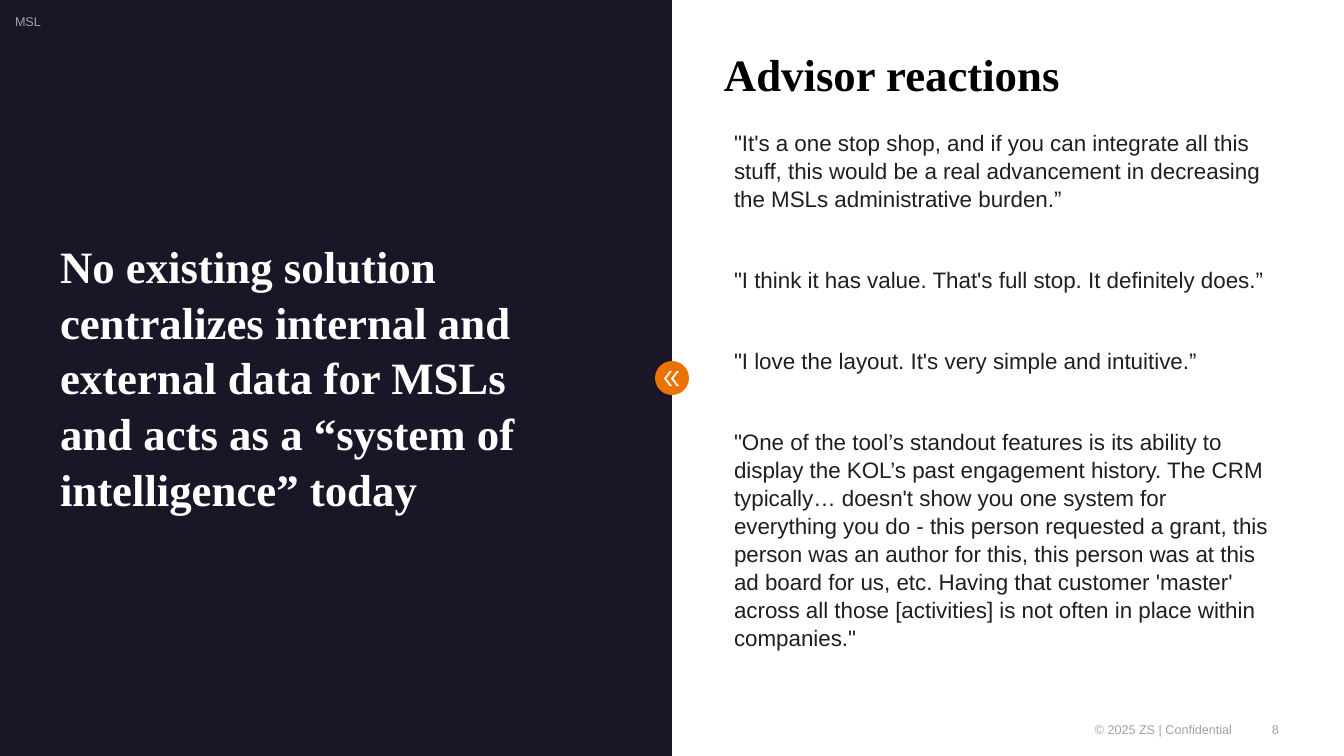
from pptx import Presentation
from pptx.dml.color import RGBColor
from pptx.enum.shapes import MSO_CONNECTOR, MSO_SHAPE
from pptx.enum.text import MSO_ANCHOR, MSO_AUTO_SIZE, PP_ALIGN
from pptx.oxml.ns import qn
from pptx.util import Emu, Pt

COLORS = {
    "navy": "1A1628",
    "white": "FFFFFF",
    "black": "000000",
    "ink": "1F1F1F",
    "gray": "A3A1A8",
    "orange": "EC7200",
}
SANS, SERIF = "Arial", "Times New Roman"
WIDTH, HEIGHT = 1344, 756
QUOTES = [
    "\"It's a one stop shop, and if you can integrate all this stuff, this would be "
    "a real advancement in decreasing the MSLs administrative burden.”",
    "\"I think it has value. That's full stop. It definitely does.”",
    "\"I love the layout. It's very simple and intuitive.”",
    "\"One of the tool’s standout features is its ability to display the KOL’s past "
    "engagement history. The CRM typically… doesn't show you one system for "
    "everything you do - this person requested a grant, this person was an author "
    "for this, this person was at this ad board for us, etc. Having that customer "
    "'master' across all those [activities] is not often in place within companies.\"",
]


def px(n):
    """Turn slide pixels into EMU."""
    return Emu(round(n * 914400 / 100.8))


def color(name):
    """Look up a palette colour."""
    return RGBColor.from_string(COLORS[name])


def place(sp, left, top, width, height):
    """Move and size a shape in pixels."""
    sp.left, sp.top, sp.width, sp.height = map(px, (left, top, width, height))


def write(sp, paragraphs, size, fill, font=SANS, bold=False, align=PP_ALIGN.LEFT,
          anchor=MSO_ANCHOR.MIDDLE, inset=(0, 0), wrap=True, spacing=1.0, gap=0):
    """Fill a shape with unbulleted, formatted paragraphs."""
    tf = sp.text_frame
    tf.auto_size = MSO_AUTO_SIZE.NONE
    tf.word_wrap = wrap
    tf.vertical_anchor = anchor
    tf.margin_left = tf.margin_right = px(inset[0])
    tf.margin_top = tf.margin_bottom = px(inset[1])
    for i, text in enumerate(paragraphs):
        p = tf.add_paragraph() if i else tf.paragraphs[0]
        pPr = p._p.get_or_add_pPr()
        pPr.set("marL", "0")
        pPr.set("indent", "0")
        pPr.append(pPr.makeelement(qn("a:buNone"), {}))
        p.alignment = align
        p.line_spacing = spacing
        p.space_before = Pt(gap if i else 0)
        p.space_after = Pt(0)
        r = p.add_run()
        r.text = text
        r.font.name, r.font.size, r.font.bold = font, Pt(size), bold
        r.font.color.rgb = color(fill)


def add_text(slide, box, text, **style):
    """Add a one-paragraph text box."""
    sp = slide.shapes.add_textbox(*map(px, box))
    write(sp, [text], **style)


def add_solid(shapes, kind, box, fill, rotation=0):
    """Add a filled preset shape without an outline."""
    sp = shapes.add_shape(kind, *map(px, box))
    sp.shadow.inherit = False
    sp.fill.solid()
    sp.fill.fore_color.rgb = color(fill)
    sp.line.fill.background()
    sp.rotation = rotation
    return sp


def add_panel(slide):
    """Add the dark left half and its edge behind everything else."""
    half = WIDTH // 2
    panel = add_solid(slide.shapes, MSO_SHAPE.RECTANGLE, (0, 0, half, HEIGHT), "navy")
    edge = slide.shapes.add_connector(
        MSO_CONNECTOR.STRAIGHT, px(half), 0, px(half), px(HEIGHT))
    edge.line.color.rgb = color("navy")
    edge.line.width = Pt(0.75)
    spPr = edge.element.spPr
    spPr.append(spPr.makeelement(qn("a:effectLst"), {}))
    tree = panel.element.getparent()
    for i, sp in enumerate((panel, edge)):
        tree.insert(2 + i, sp.element)


def add_badge(slide):
    """Add the orange disc with its two chevrons."""
    group = slide.shapes.add_group_shape()
    add_solid(group.shapes, MSO_SHAPE.OVAL, (655, 361, 34, 34), "orange")
    for left in (671, 664):
        sp = add_solid(group.shapes, MSO_SHAPE.CHEVRON, (left, 371, 8, 15), "white", 180)
        sp.adjustments[0] = 0.71


def main():
    """Build and save the slide."""
    prs = Presentation()
    prs.slide_width, prs.slide_height = px(WIDTH), px(HEIGHT)
    slide = prs.slides.add_slide(prs.slide_layouts[1])
    title, body = slide.placeholders
    heading = dict(size=32, font=SERIF, bold=True)
    small = dict(size=9, fill="gray", anchor=MSO_ANCHOR.BOTTOM, wrap=False)

    add_panel(slide)
    place(title, 60, 47, 518, 658)
    write(title, ["No existing solution centralizes internal and external data for MSLs "
                  "and acts as a “system of intelligence” today"],
          fill="white", spacing=1.04, **heading)
    place(body, 724, 123, 559, 526)
    write(body, QUOTES, 16, "ink", anchor=MSO_ANCHOR.TOP, inset=(10, 5),
          spacing=1.04, gap=38)
    add_text(slide, (724, 47, 576, 54), "Advisor reactions", fill="black", **heading)
    add_text(slide, (15, 14, 26, 15), "MSL", **small)
    add_text(slide, (1094, 722, 138, 15), "© 2025 ZS | Confidential",
             align=PP_ALIGN.RIGHT, **small)
    add_text(slide, (1268, 722, 15, 15), "8", align=PP_ALIGN.CENTER, **small)
    add_badge(slide)
    prs.save("out.pptx")


if __name__ == "__main__":
    main()
